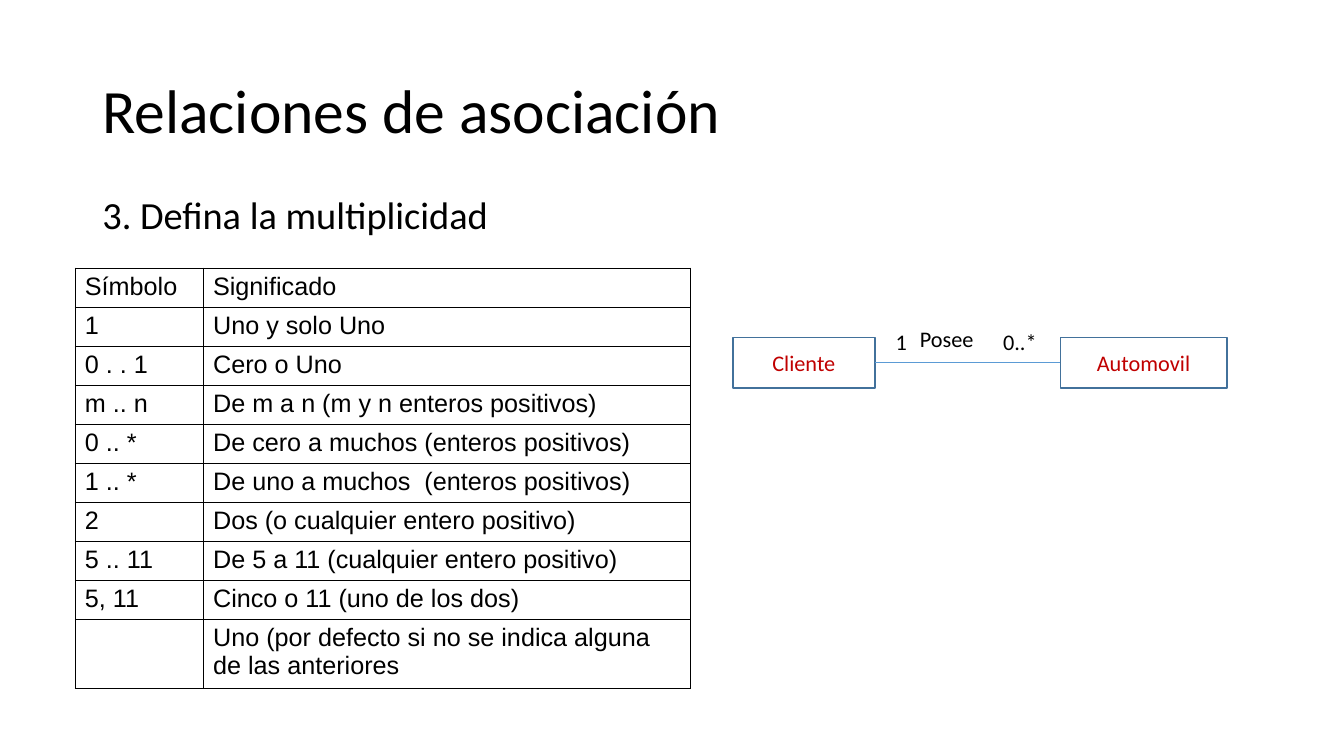
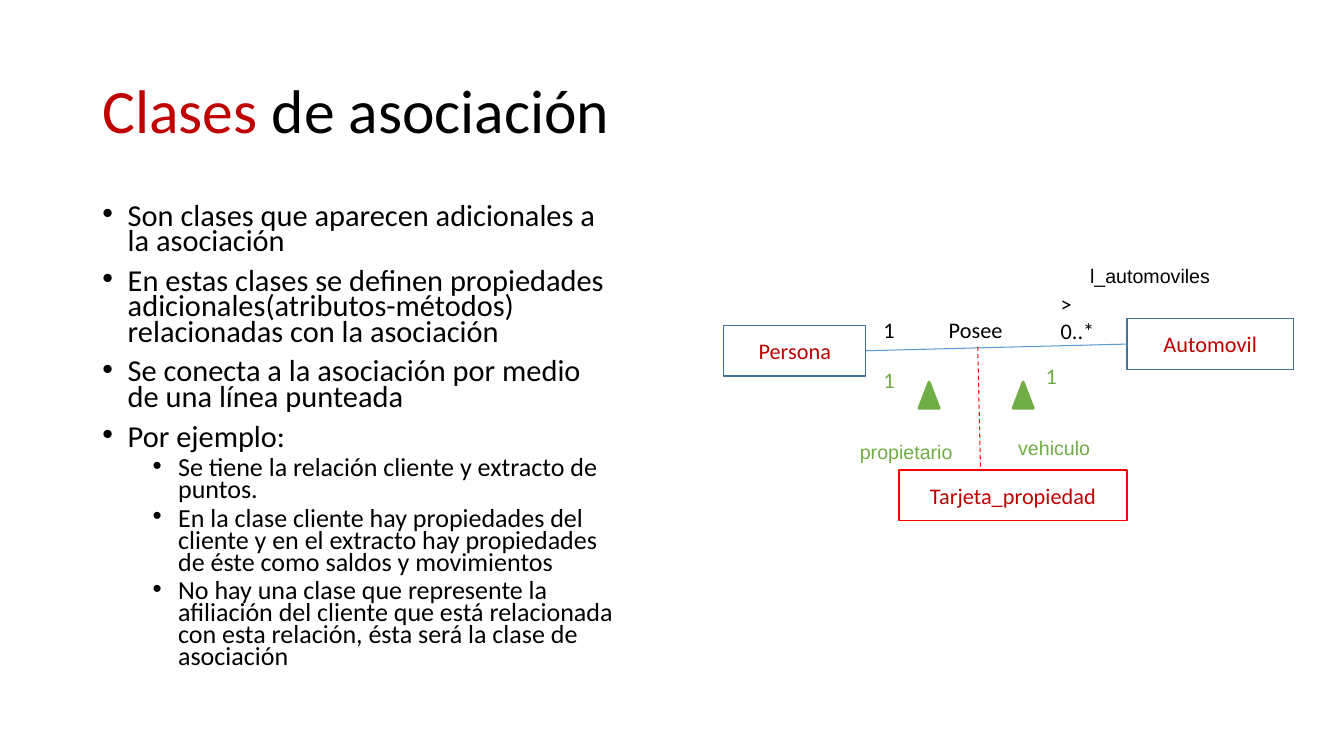
"""Build two slides on class associations and their multiplicity."""
from dataclasses import dataclass

from lxml import etree
from pptx import Presentation
from pptx.dml.color import RGBColor
from pptx.enum import dml, shapes, text
from pptx.oxml import ns
from pptx.util import Cm, Pt


@dataclass(frozen=True)
class Theme:
    """Colours, fonts and type sizes of the deck."""
    black: str = "000000"
    white: str = "FFFFFF"
    red: str = "C00000"
    alert: str = "FF0000"
    green: str = "70AD47"
    edge: str = "42719B"
    link: str = "5B9BD5"
    sans: str = "Calibri"
    plain: str = "Arial"
    title: float = 44
    lead: float = 27.4
    body: float = 21.7
    sub: float = 18.6
    cell: float = 18
    label: float = 15.9
    role: float = 14


T = Theme()
BOX = shapes.MSO_SHAPE.RECTANGLE
PEAK = shapes.MSO_SHAPE.ISOSCELES_TRIANGLE
RIGHT, LEFT = 3, 1

ROWS = [
    ("Símbolo", "Significado"),
    ("1", "Uno y solo Uno"),
    ("0 . . 1", "Cero o Uno"),
    ("m .. n", "De m a n (m y n enteros positivos)"),
    ("0 .. *", "De cero a muchos (enteros positivos)"),
    ("1 .. *", "De uno a muchos  (enteros positivos)"),
    ("2", "Dos (o cualquier entero positivo)"),
    ("5 .. 11", "De 5 a 11 (cualquier entero positivo)"),
    ("5, 11", "Cinco o 11 (uno de los dos)"),
    ("", "Uno (por defecto si no se indica alguna de las anteriores"),
]

POINTS = [
    (0, "Son clases que aparecen adicionales a la asociación"),
    (0, "En estas clases se definen propiedades "
        "adicionales(atributos-métodos) relacionadas con la asociación"),
    (0, "Se conecta a la asociación por medio de una línea punteada"),
    (0, "Por ejemplo:"),
    (1, "Se tiene la relación cliente y extracto de puntos."),
    (1, "En la clase cliente hay propiedades del cliente y en el extracto "
        "hay propiedades de éste como saldos y movimientos"),
    (1, "No hay una clase que represente la afiliación del cliente que está "
        "relacionada con esta relación, ésta será la clase de asociación"),
]


def rgb(code):
    """Turn a hex code into a colour."""
    return RGBColor.from_string(code)


def write(para, words, size, color=T.black, font=T.sans):
    """Add one run to a paragraph."""
    run = para.add_run()
    run.text = words
    run.font.size = Pt(size)
    run.font.name = font
    run.font.color.rgb = rgb(color)


def pad(frame):
    """Set the shared insets and wrapping of a text frame."""
    frame.word_wrap = True
    frame.margin_left = frame.margin_right = Cm(0.24)
    frame.margin_top = frame.margin_bottom = Cm(0.11)


def area(slide, x, y, w, h):
    """Add an empty text box and return its frame."""
    frame = slide.shapes.add_textbox(Cm(x), Cm(y), Cm(w), Cm(h)).text_frame
    pad(frame)
    return frame


def label(slide, words, x, y, w=1.8, size=T.label, color=T.black, font=T.sans):
    """Add a short text, one paragraph per line."""
    frame = area(slide, x, y, w, 0.9)
    for i, line in enumerate(words.split("\n")):
        para = frame.add_paragraph() if i else frame.paragraphs[0]
        write(para, line, size, color, font)


def title(slide, *parts):
    """Add the slide title from (words, colour) parts."""
    frame = area(slide, 2.34, 1.02, 29.21, 3.68)
    frame.vertical_anchor = text.MSO_ANCHOR.MIDDLE
    para = frame.paragraphs[0]
    para.line_spacing = 0.9
    for words, color in parts:
        write(para, words, T.title, color)


def solid(slide, kind, x, y, w, h, fill, edge, width):
    """Add a filled and outlined preset shape."""
    shape = slide.shapes.add_shape(kind, Cm(x), Cm(y), Cm(w), Cm(h))
    shape.shadow.inherit = False
    shape.fill.solid()
    shape.fill.fore_color.rgb = rgb(fill)
    shape.line.color.rgb = rgb(edge)
    shape.line.width = Pt(width)
    return shape


def entity(slide, name, x, y, w, edge=T.edge):
    """Add a class box with its name."""
    shape = solid(slide, BOX, x, y, w, 1.28, T.white, edge, 1)
    frame = shape.text_frame
    pad(frame)
    frame.vertical_anchor = text.MSO_ANCHOR.MIDDLE
    frame.paragraphs[0].alignment = text.PP_ALIGN.CENTER
    write(frame.paragraphs[0], name, T.label, T.red)
    return shape


def line(slide, x1, y1, x2, y2, color):
    """Add a thin straight connector without shadow."""
    wire = slide.shapes.add_connector(
        shapes.MSO_CONNECTOR.STRAIGHT, Cm(x1), Cm(y1), Cm(x2), Cm(y2))
    wire.line.color.rgb = rgb(color)
    wire.line.width = Pt(0.75)
    etree.SubElement(wire._element.spPr, ns.qn("a:effectLst"))
    return wire


def join(slide, first, last):
    """Link two class boxes side to side."""
    wire = line(slide, 0, 0, 1, 1, T.link)
    wire.begin_connect(first, RIGHT)
    wire.end_connect(last, LEFT)


def border(cell):
    """Draw a black line on all four sides of a cell."""
    props = cell._tc.get_or_add_tcPr()
    for side in ("lnL", "lnR", "lnT", "lnB"):
        edge = etree.SubElement(props, ns.qn("a:" + side), w=str(Pt(1)))
        fill = etree.SubElement(edge, ns.qn("a:solidFill"))
        etree.SubElement(fill, ns.qn("a:srgbClr"), val=T.black)


def grid(slide, rows, x, y, widths, high, last):
    """Add a bordered table whose last row is taller."""
    frame = slide.shapes.add_table(
        len(rows), len(widths), Cm(x), Cm(y), Cm(sum(widths)),
        Cm(high * (len(rows) - 1) + last))
    table = frame.table
    table.first_row = table.horz_banding = False
    for col, width in zip(table.columns, widths):
        col.width = Cm(width)
    for row, words in zip(table.rows, rows):
        row.height = Cm(high)
        for cell, word in zip(row.cells, words):
            border(cell)
            cell.fill.background()
            cell.margin_left = cell.margin_right = Cm(0.24)
            cell.margin_top = cell.margin_bottom = Cm(0.11)
            if word:
                write(cell.text_frame.paragraphs[0], word, T.cell,
                      font=T.plain)
    table.rows[len(rows) - 1].height = Cm(last)


def bullets(slide, items, x, y, w, h):
    """Add a bulleted list of (level, words) items."""
    frame = area(slide, x, y, w, h)
    for i, (level, words) in enumerate(items):
        para = frame.add_paragraph() if i else frame.paragraphs[0]
        para.level = level
        para.line_spacing = 0.7
        para.space_before = Pt((5 if level else 10) if i else 0)
        props = para._p.get_or_add_pPr()
        props.set("marL", str(Cm(0.64 + 1.27 * level)))
        props.set("indent", str(Cm(-0.64)))
        etree.SubElement(props, ns.qn("a:buFont"), typeface=T.plain)
        etree.SubElement(props, ns.qn("a:buChar"), char="•")
        write(para, words, T.sub if level else T.body)


def many(slide):
    """Build the slide on multiplicity."""
    title(slide, ("Relaciones de asociación", T.black))
    label(slide, "3. Defina la multiplicidad", 2.34, 4.7, 11, T.lead)
    grid(slide, ROWS, 1.9, 6.76, (3.23, 12.27), 0.94, 1.65)
    owner = entity(slide, "Cliente", 18.47, 8.5, 3.58)
    car = entity(slide, "Automovil", 26.72, 8.5, 4.2)
    join(slide, owner, car)
    label(slide, "1", 22.33, 8.15, 1)
    label(slide, "Posee", 22.94, 8.08, 2)
    label(slide, "0..*", 25.04, 8.15)


def linked(slide):
    """Build the slide on association classes."""
    title(slide, ("Clases", T.red), (" de asociación", T.black))
    bullets(slide, POINTS, 2.34, 5.08, 13.36, 12.09)
    owner = entity(slide, "Persona", 18.24, 8.2, 3.58)
    car = entity(slide, "Automovil", 28.4, 8.03, 4.2)
    join(slide, owner, car)
    entity(slide, "Tarjeta_propiedad", 22.66, 11.84, 5.74, T.alert)
    wire = line(slide, 24.64, 8.74, 24.71, 11.84, T.alert)
    wire.line.dash_style = dml.MSO_LINE.DASH
    label(slide, "1", 22.02, 7.85)
    label(slide, "Posee", 23.67, 7.85, 2)
    label(slide, ">\n0..*", 26.49, 7.21)
    label(slide, "l_automoviles", 27.23, 6.55, 4, T.role, font=T.plain)
    for x in (23.16, 25.53):
        solid(slide, PEAK, x, 9.63, 0.51, 0.66, T.green, T.green, 2)
    for x, y in ((22.02, 9.12), (26.11, 9.02)):
        label(slide, "1", x, y, color=T.green)
    for name, x, y in (("propietario", 21.43, 10.97),
                       ("vehiculo", 25.42, 10.87)):
        label(slide, name, x, y, 3.2, T.role, T.green, T.plain)


def main():
    """Create the deck and save it."""
    deck = Presentation()
    deck.slide_width, deck.slide_height = Cm(33.87), Cm(19.05)
    for build in (many, linked):
        build(deck.slides.add_slide(deck.slide_layouts[6]))
    deck.save("out.pptx")


if __name__ == "__main__":
    main()
